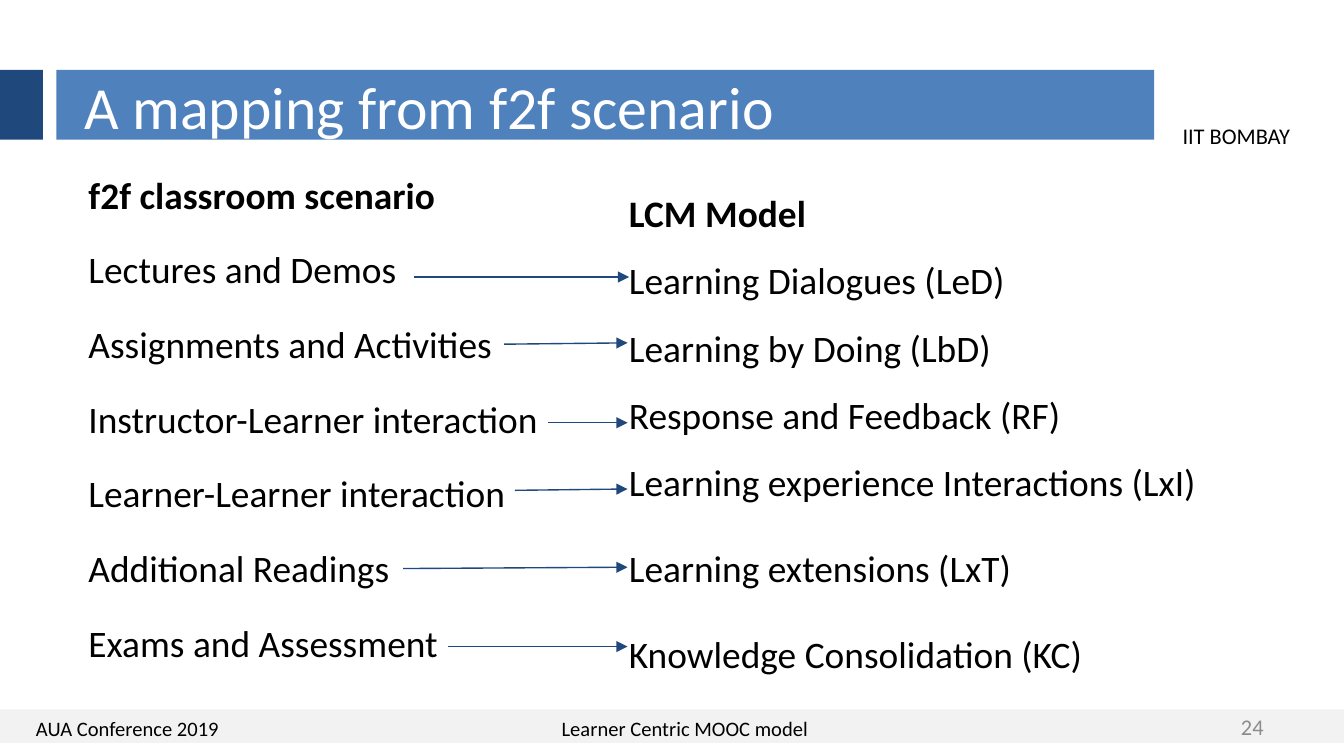
from lxml import etree
from pptx import Presentation
from pptx.dml.color import RGBColor
from pptx.enum import shapes, text
from pptx.oxml.ns import qn
from pptx.util import Pt

COLORS = {
    "text": "000000",
    "title": "FFFFFF",
    "number": "8C8C8C",
    "bar": "4F81BD",
    "dark": "1F497D",
    "footer": "F2F2F2",
}
FONT = "Calibri"


def rgb(name):
    return RGBColor.from_string(COLORS[name])


def add_text(p, content, size=20, color="text", bold=False, align=None,
             before=None, after=None, line=None):
    """Put one formatted run into paragraph p; spacing is in points."""
    if align is not None:
        p.alignment = align
    if before is not None:
        p.space_before = Pt(before)
    if after is not None:
        p.space_after = Pt(after)
    if line is not None:
        p.line_spacing = line
    r = p.add_run()
    r.text = content
    r.font.name = FONT
    r.font.size = Pt(size)
    r.font.bold = bold
    r.font.color.rgb = rgb(color)


class Deck:
    """Holds the presentation style and the current slide."""

    def __init__(self, width, height):
        self.prs = Presentation()
        self.prs.slide_width, self.prs.slide_height = Pt(width), Pt(height)
        self.s = self.prs.slides.add_slide(self.prs.slide_layouts[6])

    def rect(self, x, y, w, h, color):
        sp = self.s.shapes.add_shape(shapes.MSO_SHAPE.RECTANGLE,
                                     Pt(x), Pt(y), Pt(w), Pt(h))
        sp.shadow.inherit = False
        sp.fill.solid()
        sp.fill.fore_color.rgb = rgb(color)
        sp.line.fill.background()

    def box(self, x, y, w, h, wrap=True, middle=False, inset=None):
        """Add an empty text box and return its text frame."""
        tf = self.s.shapes.add_textbox(Pt(x), Pt(y), Pt(w), Pt(h)).text_frame
        tf.word_wrap = wrap
        if middle:
            tf.vertical_anchor = text.MSO_ANCHOR.MIDDLE
        if inset is not None:
            tf.margin_left = tf.margin_right = Pt(inset)
            tf.margin_top = tf.margin_bottom = Pt(inset)
        return tf

    def label(self, content, x, y, w, h, wrap=True, middle=True, **fmt):
        tf = self.box(x, y, w, h, wrap, middle)
        add_text(tf.paragraphs[0], content, **fmt)

    def column(self, x, y, w, h, items, inset=None, **fmt):
        """Add a bold heading and its entries; each item is (text, spacing)."""
        tf = self.box(x, y, w, h, inset=inset)
        for i, (content, spacing) in enumerate(items):
            p = tf.add_paragraph() if i else tf.paragraphs[0]
            add_text(p, content, bold=i == 0, **spacing, **fmt)

    def arrow(self, x1, y1, x2, y2):
        c = self.s.shapes.add_connector(shapes.MSO_CONNECTOR.STRAIGHT,
                                        Pt(x1), Pt(y1), Pt(x2), Pt(y2))
        c.line.color.rgb = rgb("dark")
        c.line.width = Pt(0.75)
        etree.SubElement(c.line._get_or_add_ln(), qn("a:tailEnd"), type="triangle")
        etree.SubElement(c._element.spPr, qn("a:effectLst"))


def main():
    deck = Deck(720, 405)

    deck.rect(0, 380, 720, 18, "footer")
    deck.label("IIT BOMBAY", 626.4, 61.9, 72.7, 21.6,
               wrap=False, middle=False, size=12)
    deck.label("AUA Conference 2019", 12.2, 381, 126, 18, size=11)
    deck.label("Learner Centric MOOC model", 293.8, 381, 153.4, 18, size=11)
    deck.label("24", 639.4, 378.7, 44.6, 21.6, size=12, color="number",
               align=text.PP_ALIGN.RIGHT)

    deck.rect(30.2, 37.4, 588.2, 37.4, "bar")
    deck.rect(0, 37.4, 23, 37.4, "dark")
    deck.label("A mapping from f2f scenario", 38.2, 38.2, 561.6, 36.7,
               size=32, color="title")

    gap = dict(before=16)
    deck.column(40.3, 88.6, 278, 282, [
        ("f2f classroom scenario", {}),
        ("Lectures and Demos", gap),
        ("Assignments and Activities", gap),
        ("Instructor-Learner interaction", gap),
        ("Learner-Learner interaction", gap),
        ("Additional Readings", gap),
        ("Exams and Assessment", dict(before=16, after=16)),
    ])
    deck.column(329.8, 82.8, 382.3, 304.6, [
        ("LCM Model", {}),
        ("Learning Dialogues (LeD)", {}),
        ("Learning by Doing (LbD)", {}),
        ("Response and Feedback (RF)", {}),
        ("Learning experience Interactions (LxI)", {}),
        ("Learning extensions (LxT)", dict(before=10)),
        ("Knowledge Consolidation (KC)", dict(before=10, after=10)),
    ], inset=7.2, line=1.5)

    for x1, y1, x2, y2 in [
        (221.8, 148.4, 337, 148.4),
        (270, 184.4, 336.2, 183.7),
        (293.8, 226.5, 336.2, 226.5),
        (275.8, 262.7, 336.2, 262),
        (216, 304.6, 336.2, 303.9),
        (239.8, 346.4, 336.2, 346.4),
    ]:
        deck.arrow(x1, y1, x2, y2)

    deck.prs.save("out.pptx")


if __name__ == "__main__":
    main()
